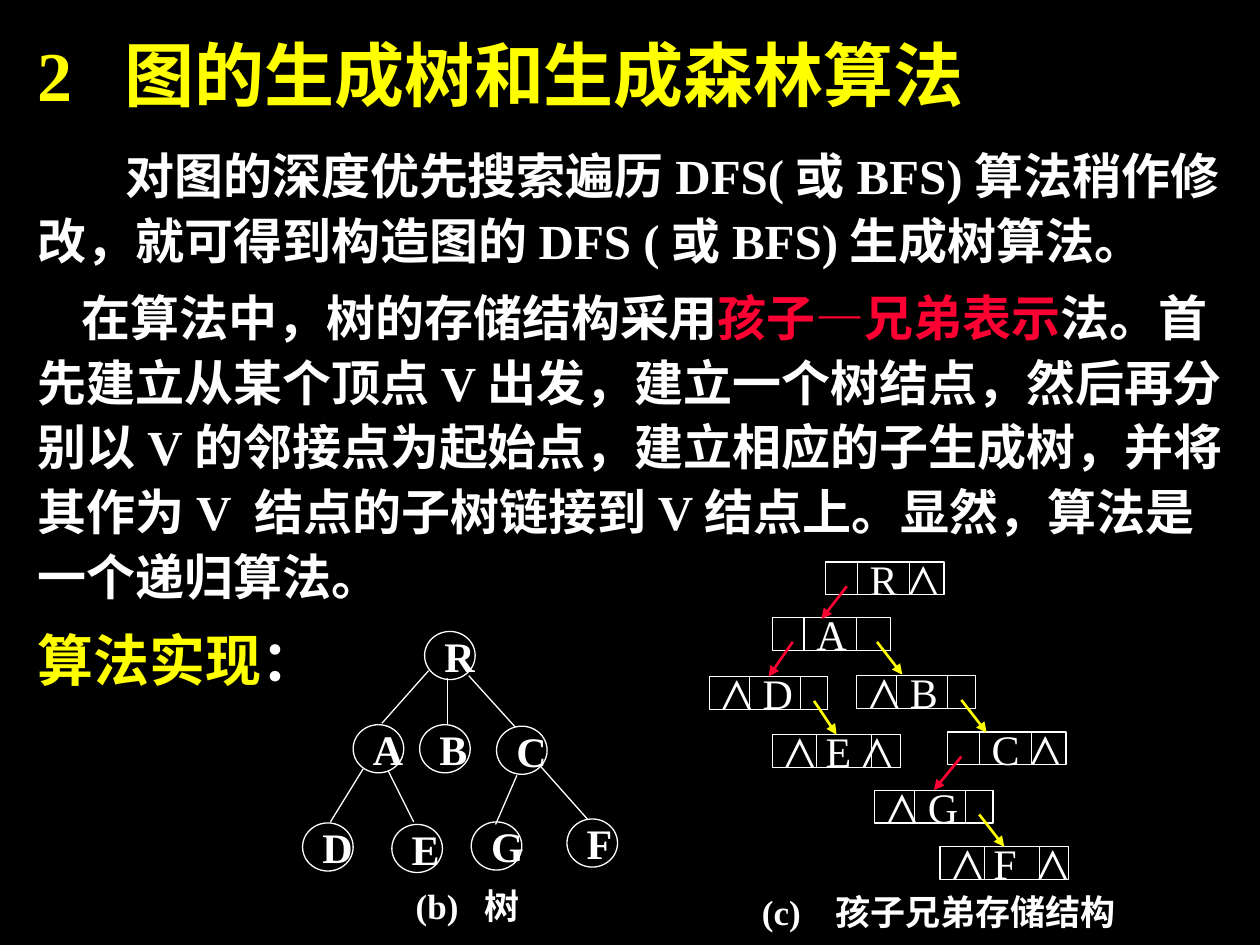
from lxml import etree
from pptx import Presentation
from pptx.dml.color import RGBColor
from pptx.enum.shapes import MSO_CONNECTOR, MSO_SHAPE
from pptx.enum.text import MSO_ANCHOR, MSO_AUTO_SIZE, PP_ALIGN
from pptx.oxml.ns import qn
from pptx.util import Cm, Pt

STRAIGHT = MSO_CONNECTOR.STRAIGHT
OVAL = MSO_SHAPE.OVAL
RECTANGLE = MSO_SHAPE.RECTANGLE
TOP = MSO_ANCHOR.TOP
MIDDLE = MSO_ANCHOR.MIDDLE
LEFT = PP_ALIGN.LEFT
NO_AUTOFIT = MSO_AUTO_SIZE.NONE

BLACK = RGBColor(0x00, 0x00, 0x00)
WHITE = RGBColor(0xFF, 0xFF, 0xFF)
YELLOW = RGBColor(0xFF, 0xFF, 0x00)
RED = RGBColor(0xFF, 0x00, 0x33)
SERIF = "Times New Roman"
SANS = "Noto Sans CJK SC"

BODY = [
    (0, 1.77, 28, [
        ("对图的深度优先搜索遍历DFS(或BFS)算法稍作修改", SERIF, WHITE),
        ("，", SANS, WHITE),
        ("就可得到构造图的DFS (或BFS)生成树算法", SERIF, WHITE),
        ("。", SANS, WHITE)]),
    (7, 0.89, 28, [
        ("在算法中，树的存储结构采用", SANS, WHITE),
        ("孩子—兄弟表示", SANS, RED),
        ("法。首先建立从某个顶点", SANS, WHITE),
        ("V出发", SERIF, WHITE),
        ("，建立一个树结点，然后再分别以", SANS, WHITE),
        ("V", SERIF, WHITE),
        ("的邻接点为起始点，建立相应的子生成树，并将其作为", SANS, WHITE),
        ("V 结点的子树链接到V结点上", SERIF, WHITE),
        ("。显然，算法是一个递归算法。", SANS, WHITE)]),
    (8, 0, 32, [("算法实现", SERIF, YELLOW), ("：", SERIF, WHITE)]),
]

TREE_NODES = {
    "R": (2.46, 0), "A": (1.02, 1.88), "B": (2.36, 1.88), "C": (3.91, 1.91),
    "D": (0, 3.86), "E": (1.8, 3.89), "G": (3.4, 3.84), "F": (5.33, 3.78),
}
TREE_EDGES = [
    (2.54, 0.79, 1.6, 1.85), (2.92, 0.94, 2.92, 1.88),
    (3.35, 0.89, 4.29, 1.93), (1.22, 2.77, 0.56, 3.84),
    (1.73, 2.82, 2.24, 3.84), (4.8, 2.72, 5.74, 3.78),
    (4.32, 2.9, 3.89, 3.89),
]

# width, first divider, second divider, text indent
OPEN = (2.39, 0.64, 1.69, 0.64)
MARKED = (2.39, 0.81, 1.83, 0)
WIDE = (2.59, 0.89, 2, 0)
RECORDS = {
    "R": (2.34, 0, OPEN, ["R ⋀"]), "A": (1.27, 1.12, OPEN, ["A"]),
    "D": (0, 2.31, MARKED, ["⋀ D"]), "B": (2.97, 2.29, MARKED, ["⋀ B"]),
    "E": (1.27, 3.48, WIDE, ["⋀ E ⋀"]), "C": (4.8, 3.43, OPEN, ["C ⋀"]),
    "G": (3.33, 4.6, MARKED, ["⋀ G"]), "F": (4.65, 5.74, WIDE, ["⋀ F", "⋀"]),
}
RECORD_HEIGHT = 0.66
CHILD_LINKS = [("R", 0.43, None), ("A", 0.41, "D"), ("C", 0.28, "G")]
SIBLING_LINKS = [("A", 2.11, None), ("B", 2.11, None),
                 ("D", 2.11, "E"), ("G", 2.11, "F")]


def add_span(para, text, size, color, font=SERIF, bold=True):
    span = para.add_run()
    span.text = text
    span.font.size = Pt(size)
    span.font.bold = bold
    span.font.color.rgb = color
    span.font.name = font
    latin = span.font._element.find(qn("a:latin"))
    latin.addnext(etree.Element(qn("a:ea"), typeface=SANS))
    return span


def add_spaced(para, parts, gap, size, color, bold=True):
    for index, part in enumerate(parts):
        if index:
            space = add_span(para, " ", size, color, bold=bold)
            space.font._element.set("spc", str(gap * 100))
        add_span(para, part, size, color, bold=bold)


def set_layout(para, margin=0, first_line=0):
    para.alignment = LEFT
    properties = para._p.get_or_add_pPr()
    properties.set("marL", str(Cm(margin)))
    properties.set("indent", str(Cm(first_line)))
    etree.SubElement(properties, qn("a:buNone"))


def set_frame(frame, anchor, wrap):
    frame.auto_size = NO_AUTOFIT
    frame.word_wrap = wrap
    frame.vertical_anchor = anchor
    frame.margin_left = frame.margin_right = Cm(0.25)
    frame.margin_top = frame.margin_bottom = Cm(0.13)


def place(shape, left, top, width, height):
    shape.left, shape.top = Cm(left), Cm(top)
    shape.width, shape.height = Cm(width), Cm(height)


def add_line(group, x1, y1, x2, y2, color=WHITE, width=0.75, arrow=False):
    line = group.shapes.add_connector(STRAIGHT, Cm(x1), Cm(y1), Cm(x2), Cm(y2))
    line.line.color.rgb = color
    line.line.width = Pt(width)
    if arrow:
        etree.SubElement(line.line._get_or_add_ln(), qn("a:tailEnd"), type="triangle")
    etree.SubElement(line._element.spPr, qn("a:effectLst"))
    return line


def add_outline(group, kind, left, top, width, height, parts, bold, margin=0):
    shape = group.shapes.add_shape(kind, Cm(left), Cm(top), Cm(width), Cm(height))
    shape.shadow.inherit = False
    shape.fill.background()
    shape.line.color.rgb = WHITE
    shape.line.width = Pt(0.75)
    set_frame(shape.text_frame, MIDDLE, False)
    para = shape.text_frame.paragraphs[0]
    set_layout(para, margin)
    add_spaced(para, parts, 6, 24, WHITE, bold)
    return shape


def add_caption(group, left, top, width, height, parts, gap):
    box = group.shapes.add_textbox(Cm(left), Cm(top), Cm(width), Cm(height))
    set_frame(box.text_frame, MIDDLE, False)
    para = box.text_frame.paragraphs[0]
    set_layout(para)
    add_spaced(para, parts, gap, 20, WHITE)


def fill_title(title, left, top, width, height):
    place(title, left, top, width, height)
    set_frame(title.text_frame, TOP, True)
    para = title.text_frame.paragraphs[0]
    set_layout(para)
    para.line_spacing = 1.1
    add_spaced(para, ["2", "图的生成树和生成森林算法"], 10, 40, YELLOW)


def fill_body(body, left, top, width, height):
    place(body, left, top, width, height)
    frame = body.text_frame
    set_frame(frame, TOP, True)
    for index, (before, first_line, size, spans) in enumerate(BODY):
        para = frame.add_paragraph() if index else frame.paragraphs[0]
        set_layout(para, first_line=first_line)
        para.line_spacing = 1.1
        para.space_before = Pt(before)
        para.space_after = Pt(0)
        for text, font, color in spans:
            add_span(para, text, size, color, font)


def draw_tree(page, left, top):
    group = page.shapes.add_group_shape()
    for name, (x, y) in TREE_NODES.items():
        add_outline(group, OVAL, left + x, top + y, 1.02, 0.97, [name], True)
    for x1, y1, x2, y2 in TREE_EDGES:
        add_line(group, left + x1, top + y1, left + x2, top + y2)
    add_caption(group, left + 2.03, top + 5.08, 2.29, 0.89, ["(b)", "树"], 5)


def draw_storage(page, left, top):
    group = page.shapes.add_group_shape()
    boxes = {}
    for name, (x, y, (width, first, second, margin), parts) in RECORDS.items():
        x, y = left + x, top + y
        boxes[name] = add_outline(group, RECTANGLE, x, y, width, RECORD_HEIGHT,
                                  parts, False, margin)
        for divider in (first, second):
            add_line(group, x + divider, y, x + divider, y + RECORD_HEIGHT)
    for links, color, run in ((CHILD_LINKS, RED, -0.51), (SIBLING_LINKS, YELLOW, 0.51)):
        for source, offset, target in links:
            x = left + RECORDS[source][0] + offset
            y = top + RECORDS[source][1] + 0.49
            arrow = add_line(group, x, y, x + run, y + 0.66, color, 1.5, True)
            if target:
                arrow.end_connect(boxes[target], 0)
    add_caption(group, left + 0.81, top + 6.68, 7.8, 0.74, ["(c)", "孩子兄弟存储结构"], 10)


def main():
    deck = Presentation()
    deck.slide_width, deck.slide_height = Cm(25.4), Cm(19.05)
    page = deck.slides.add_slide(deck.slide_layouts[1])
    page.background.fill.solid()
    page.background.fill.fore_color.rgb = BLACK
    fill_title(page.shapes.title, 0.51, 0.33, 24.56, 2.36)
    fill_body(page.placeholders[1], 0.51, 2.69, 24.56, 11.33)
    draw_tree(page, 6.1, 12.73)
    draw_storage(page, 14.3, 11.33)
    deck.save("out.pptx")


if __name__ == "__main__":
    main()
